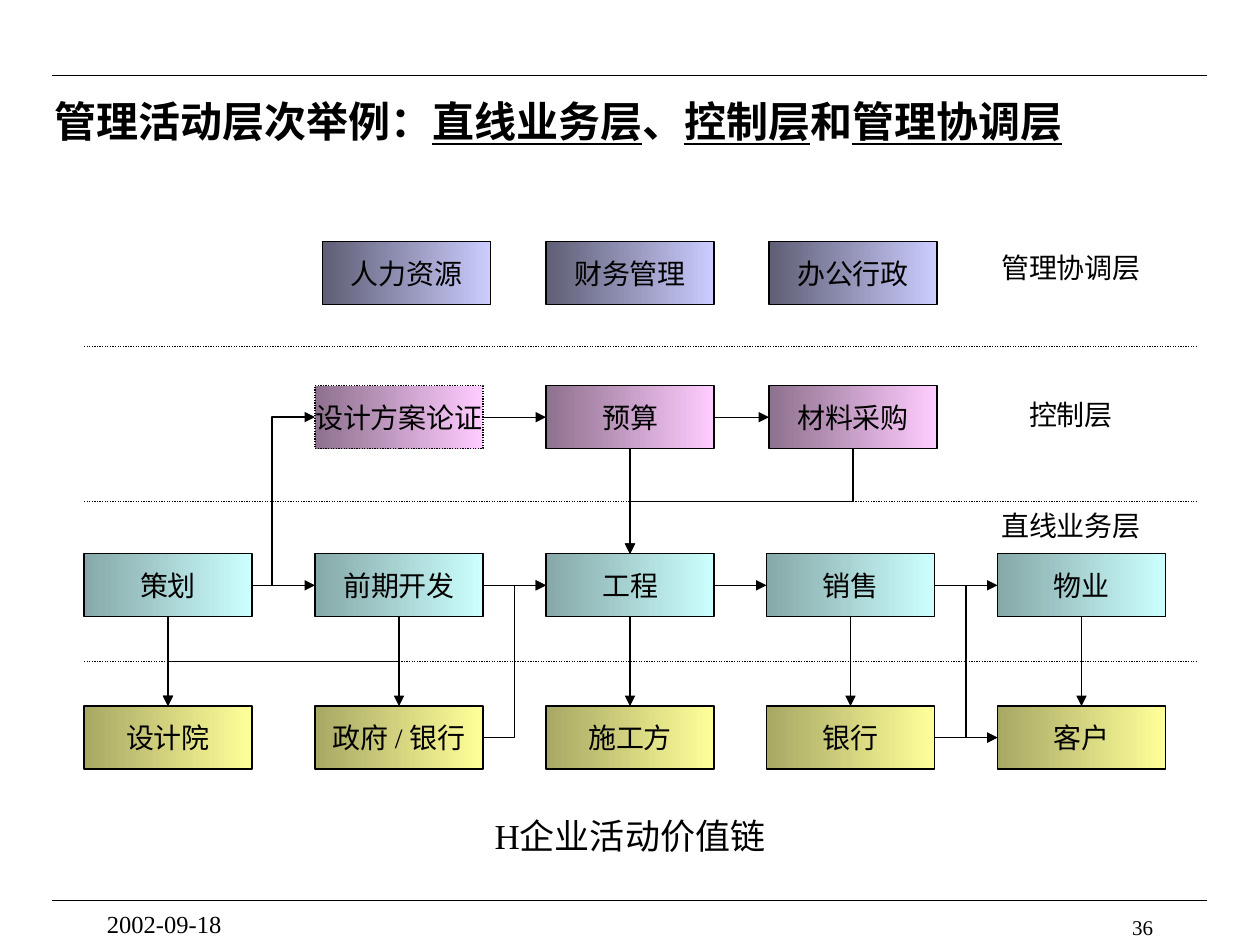
"""Build the slide on activity layers and the value chain of company H."""
from lxml import etree
from pptx import Presentation
from pptx.dml.color import RGBColor
from pptx.enum.dml import MSO_LINE
from pptx.enum.shapes import MSO_CONNECTOR, MSO_SHAPE
from pptx.enum.text import MSO_ANCHOR, PP_ALIGN
from pptx.oxml.ns import qn
from pptx.util import Pt

RECT = MSO_SHAPE.RECTANGLE
STRAIGHT, ELBOW = MSO_CONNECTOR.STRAIGHT, MSO_CONNECTOR.ELBOW
LEFT, CENTER, RIGHT = PP_ALIGN.LEFT, PP_ALIGN.CENTER, PP_ALIGN.RIGHT
TOP, MIDDLE = MSO_ANCHOR.TOP, MSO_ANCHOR.MIDDLE
DOTTED = MSO_LINE.ROUND_DOT

FONT = "Times New Roman"
BLACK = RGBColor(0x00, 0x00, 0x00)
WHITE = RGBColor(0xFF, 0xFF, 0xFF)
BLUE = RGBColor(0xCC, 0xCC, 0xFF), RGBColor(0x5E, 0x5E, 0x75)
PINK = RGBColor(0xFF, 0xCC, 0xFF), RGBColor(0x8E, 0x71, 0x8E)
CYAN = RGBColor(0xCC, 0xFF, 0xFF), RGBColor(0x86, 0xA8, 0xA8)
YELLOW = RGBColor(0xFF, 0xFF, 0x99), RGBColor(0xA8, 0xA8, 0x65)

BOX_W, BOX_H = 96, 36
COLUMNS = [48, 180, 312, 438, 570]
ROWS = [
    (138, BLUE, [184.3, 312, 439.4], ["人力资源", "财务管理", "办公行政"]),
    (220.4, PINK, [180, 312, 439.4], ["设计方案论证", "预算", "材料采购"]),
    (316.5, CYAN, COLUMNS, ["策划", "前期开发", "工程", "销售", "物业"]),
    (403.5, YELLOW, COLUMNS, ["设计院", "政府 / 银行", "施工方", "银行", "客户"]),
]
DOTTED_BOX = "设计方案论证"
ACROSS = [
    ("设计方案论证", "预算"), ("预算", "材料采购"), ("策划", "前期开发"),
    ("前期开发", "工程"), ("工程", "销售"), ("销售", "物业"), ("银行", "客户"),
    ("策划", "设计方案论证", 0.32), ("政府 / 银行", "工程"), ("销售", "客户"),
]
DOWN = [
    ("预算", "工程"), ("材料采购", "工程"), ("策划", "设计院"),
    ("前期开发", "设计院"), ("前期开发", "政府 / 银行"), ("工程", "施工方"),
    ("销售", "银行"), ("物业", "客户"),
]
RULES = [43.2, 514.8]
DIVIDERS = [198, 286.5, 378]
LABELS = [("管理协调层", 138), ("控制层", 222), ("直线业务层", 285.4)]
TITLE = [("管理活动层次举例：", False), ("直线业务层", True), ("、", False),
         ("控制层", True), ("和", False), ("管理协调层", True)]

prs = Presentation()
prs.slide_width, prs.slide_height = Pt(720), Pt(540)
s = prs.slides.add_slide(prs.slide_layouts[6])


def write(sp, runs, size=16, bold=False, align=CENTER, anchor=MIDDLE, wrap=False):
    tf = sp.text_frame
    tf.word_wrap, tf.vertical_anchor = wrap, anchor
    p = tf.paragraphs[0]
    p.alignment = align
    for text, underline in [(runs, False)] if isinstance(runs, str) else runs:
        r = p.add_run()
        r.text = text
        r.font.name, r.font.size, r.font.bold = FONT, Pt(size), bold
        r.font.underline = underline
        r.font.color.rgb = BLACK


def add_text(runs, x, y, w, h, **fmt):
    write(s.shapes.add_textbox(Pt(x), Pt(y), Pt(w), Pt(h)), runs, wrap=True, **fmt)


def add_rect(x, y, w, h):
    sp = s.shapes.add_shape(RECT, Pt(x), Pt(y), Pt(w), Pt(h))
    sp.shadow.inherit = False
    return sp


def set_line(line, dash=None):
    line.color.rgb = BLACK
    line.width = Pt(0.75)
    if dash:
        line.dash_style = dash


def add_label(text, y):
    sp = add_rect(558, y, 108, 30)
    sp.fill.solid()
    sp.fill.fore_color.rgb = WHITE
    sp.line.fill.background()
    write(sp, text)


def add_box(text, x, y, colors):
    sp = add_rect(x, y, BOX_W, BOX_H)
    sp.fill.gradient()
    sp.fill.gradient_angle = 180
    for stop, color in zip(sp.fill.gradient_stops, colors):
        stop.color.rgb = color
    set_line(sp.line, DOTTED if text == DOTTED_BOX else None)
    write(sp, text)


def add_line(x1, y1, x2, y2, kind=STRAIGHT, dash=None, arrow=False):
    cxn = s.shapes.add_connector(kind, Pt(x1), Pt(y1), Pt(x2), Pt(y2))
    set_line(cxn.line, dash)
    spPr = cxn._element.spPr
    if arrow:
        etree.SubElement(spPr.find(qn("a:ln")), qn("a:tailEnd"), type="triangle")
    etree.SubElement(spPr, qn("a:effectLst"))
    return spPr


def link_across(start, end, bend=0.5):
    (x1, y1), (x2, y2) = places[start], places[end]
    kind = STRAIGHT if y1 == y2 else ELBOW
    mid = BOX_H / 2
    spPr = add_line(x1 + BOX_W, y1 + mid, x2, y2 + mid, kind, arrow=True)
    if kind == ELBOW:
        geom = spPr.find(qn("a:prstGeom"))
        av = geom.find(qn("a:avLst"))
        if av is None:
            av = etree.SubElement(geom, qn("a:avLst"))
        etree.SubElement(av, qn("a:gd"), name="adj1", fmla=f"val {round(bend * 100000)}")


def link_down(start, end):
    (x1, y1), (x2, y2) = places[start], places[end]
    x1, x2, y1 = x1 + BOX_W / 2, x2 + BOX_W / 2, y1 + BOX_H
    if x1 == x2:
        add_line(x1, y1, x2, y2, arrow=True)
        return
    cx, cy = (x1 + x2) / 2, (y1 + y2) / 2
    half_w, half_h = (y2 - y1) / 2, (x1 - x2) / 2
    spPr = add_line(cx - half_w, cy - half_h, cx + half_w, cy + half_h, ELBOW, arrow=True)
    spPr.find(qn("a:xfrm")).set("rot", "5400000")


for y in RULES:
    add_line(30, y, 690, y)
for text, y in LABELS:
    add_label(text, y)
for y in DIVIDERS:
    add_line(48, y, 684, y, dash=DOTTED)

places = {}
for y, colors, columns, names in ROWS:
    for x, name in zip(columns, names):
        places[name] = x, y
        add_box(name, x, y, colors)
for link in ACROSS:
    link_across(*link)
for link in DOWN:
    link_down(*link)

add_text(TITLE, 24, 42, 672, 54, size=24, bold=True, align=LEFT)
add_text("H企业活动价值链", 162, 462, 396, 31.5, size=20, anchor=TOP)
add_text("36", 516, 519, 150, 12, size=12, align=RIGHT, anchor=TOP)
add_text("2002-09-18", 54, 516, 150, 18, size=14, align=LEFT, anchor=TOP)

prs.save("out.pptx")
